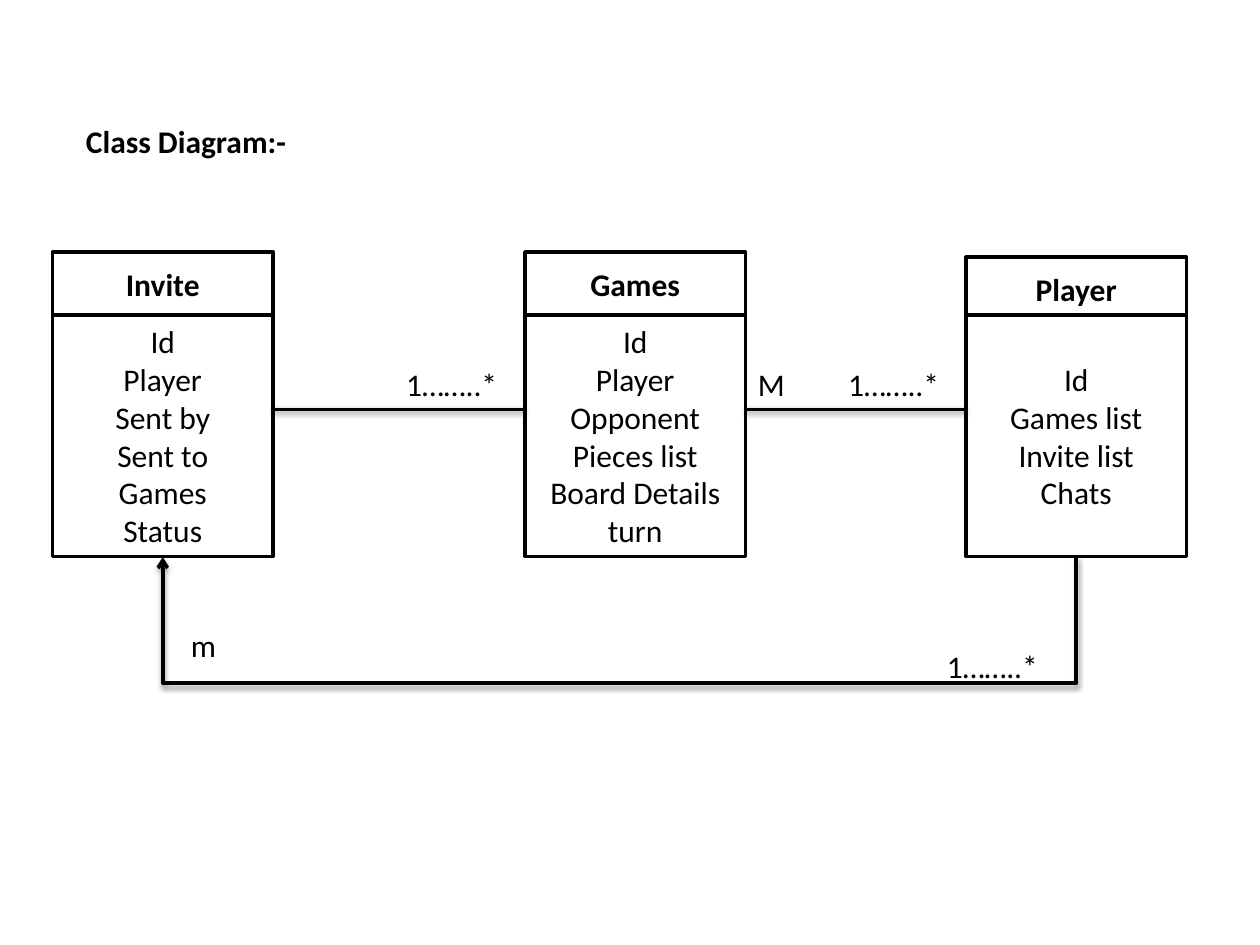
from lxml import etree
from pptx import Presentation
from pptx.dml.color import RGBColor
from pptx.enum.shapes import MSO_CONNECTOR, MSO_SHAPE
from pptx.enum.text import MSO_ANCHOR, MSO_AUTO_SIZE, PP_ALIGN
from pptx.oxml.ns import qn
from pptx.util import Inches, Pt

BLACK = RGBColor(0x00, 0x00, 0x00)
WHITE = RGBColor(0xFF, 0xFF, 0xFF)
RECT = MSO_SHAPE.RECTANGLE
STRAIGHT, ELBOW = MSO_CONNECTOR.STRAIGHT, MSO_CONNECTOR.ELBOW
CENTER, LEFT = PP_ALIGN.CENTER, PP_ALIGN.LEFT
MIDDLE, TOP = MSO_ANCHOR.MIDDLE, MSO_ANCHOR.TOP
GROW = MSO_AUTO_SIZE.SHAPE_TO_FIT_TEXT

BOX_W, HEAD_H, BODY_H = 21, 6, 23
BODY_TOP = 30
BOTTOM = BODY_TOP + BODY_H
LINK_ROW = 39
MANY = "1……..*"


def sub(parent, tag, **attrs):
    return etree.SubElement(parent, qn(tag), attrs)


class Diagram:
    font, size, weight = "Calibri", Pt(18), Pt(2)
    columns, rows = 120, 90

    def __init__(self, prs):
        self.s = prs.slides.add_slide(prs.slide_layouts[6])
        self.col = prs.slide_width / self.columns
        self.row = prs.slide_height / self.rows

    def x(self, n):
        return round(n * self.col)

    def y(self, n):
        return round(n * self.row)

    def set_text(self, tf, lines, align, bold):
        tf.text = "\n".join(lines)
        for p in tf.paragraphs:
            p.alignment = align
            for r in p.runs:
                r.font.name, r.font.size, r.font.bold = self.font, self.size, bold
                r.font.color.rgb = BLACK

    def box(self, x, y, h, lines, bold=False):
        sp = self.s.shapes.add_shape(RECT, self.x(x), self.y(y), self.x(BOX_W), self.y(h))
        sp.shadow.inherit = False
        sp.fill.solid()
        sp.fill.fore_color.rgb = WHITE
        sp.line.color.rgb = BLACK
        sp.line.width = self.weight
        sp.text_frame.word_wrap = True
        sp.text_frame.vertical_anchor = MIDDLE
        self.set_text(sp.text_frame, lines, CENTER, bold)

    def entity(self, x, head_y, name, fields):
        self.box(x, head_y, HEAD_H, [name], True)
        self.box(x, BODY_TOP, BODY_H, fields)

    def label(self, x, y, w, text, bold=False, tab=None):
        sp = self.s.shapes.add_textbox(self.x(x), self.y(y), self.x(w), self.y(4.8))
        tf = sp.text_frame
        tf.word_wrap = tab is not None
        tf.auto_size = GROW
        tf.vertical_anchor = TOP
        self.set_text(tf, [text], LEFT, bold)
        if tab is not None:
            tabs = sub(tf.paragraphs[0]._p.get_or_add_pPr(), "a:tabLst")
            sub(tabs, "a:tab", pos=str(self.x(tab)), algn="l")

    def connector(self, kind, x1, y1, x2, y2):
        c = self.s.shapes.add_connector(kind, self.x(x1), self.y(y1), self.x(x2), self.y(y2))
        c.line.color.rgb = BLACK
        c.line.width = self.weight
        effects = sub(c._element.spPr, "a:effectLst")
        shadow = sub(effects, "a:outerShdw", blurRad="40000", dist="20000",
                     dir="5400000", rotWithShape="0")
        sub(sub(shadow, "a:srgbClr", val=str(BLACK)), "a:alpha", val="38000")
        return c

    def return_arrow(self, x_from, x_to, y, depth, thin=0.1):
        mid, span = (x_from + x_to) / 2, x_from - x_to
        left, top = mid - thin / 2, y - span / 2
        c = self.connector(ELBOW, left, top, left + thin, top + span)
        spPr = c._element.spPr
        spPr.find(qn("a:xfrm")).set("rot", "5400000")
        guides = spPr.find(qn("a:prstGeom")).find(qn("a:avLst"))
        sub(guides, "a:gd", name="adj1", fmla=f"val {round(depth / thin * 100000)}")
        sub(spPr.find(qn("a:ln")), "a:tailEnd", type="arrow")


prs = Presentation()
prs.slide_width, prs.slide_height = Inches(10), Inches(7.5)
d = Diagram(prs)

INVITE, GAMES, PLAYER = 5, 50, 92
d.entity(INVITE, 24, "Invite", ["Id", "Player", "Sent by", "Sent to", "Games", "Status"])
d.entity(GAMES, 24, "Games",
         ["Id", "Player", "Opponent", "Pieces list", "Board Details", "turn"])
d.entity(PLAYER, 24.5, "Player", ["Id", "Games list", "Invite list", "Chats"])

for start, end in ((INVITE + BOX_W, GAMES), (PLAYER, GAMES + BOX_W)):
    d.connector(STRAIGHT, start, LINK_ROW, end, LINK_ROW)
d.return_arrow(PLAYER + BOX_W / 2, INVITE + BOX_W / 2, BOTTOM, 12.2)

d.label(37.5, 34.2, 11.2, MANY)
d.label(GAMES + BOX_W, 34.2, 20.2, "M\t" + MANY, tab=8.6)
d.label(89, 61, 11.2, MANY)
d.label(17, 59, 4.8, "m")
d.label(7, 11, 21.6, "Class Diagram:-", bold=True)

prs.save("out.pptx")
